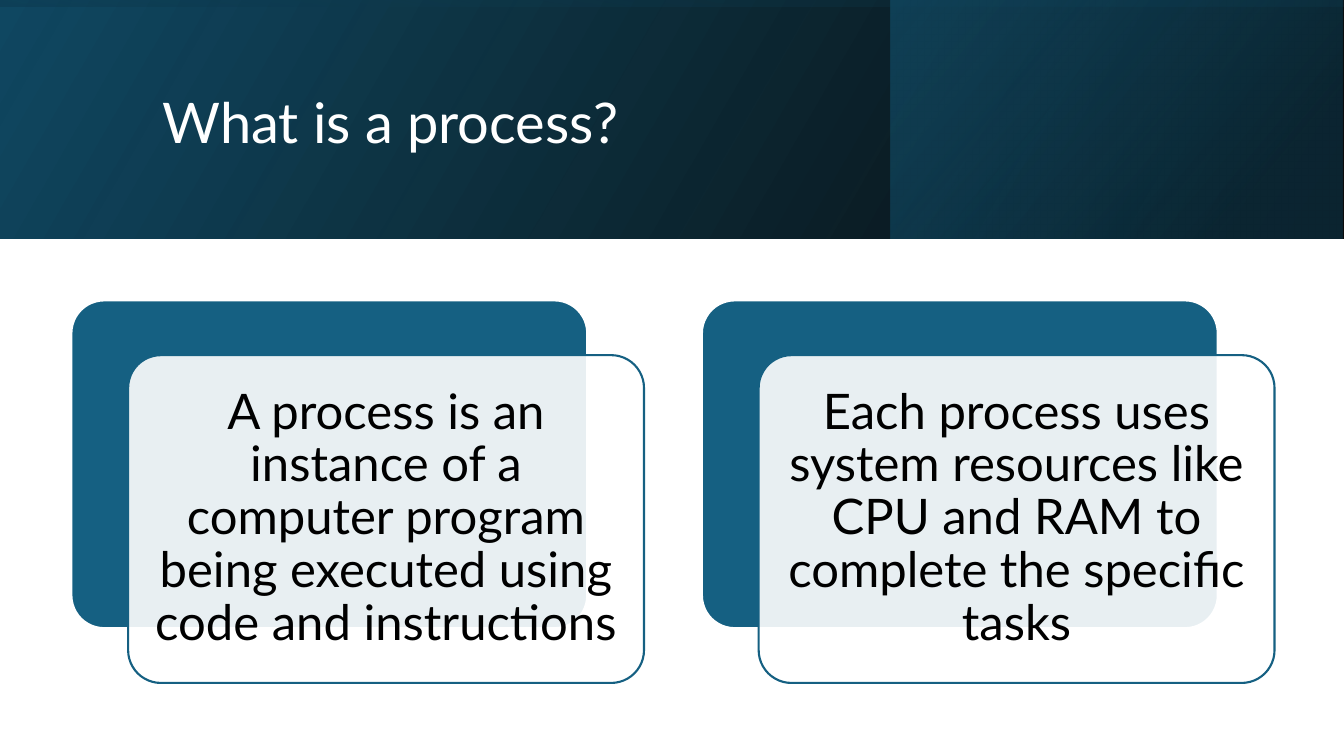
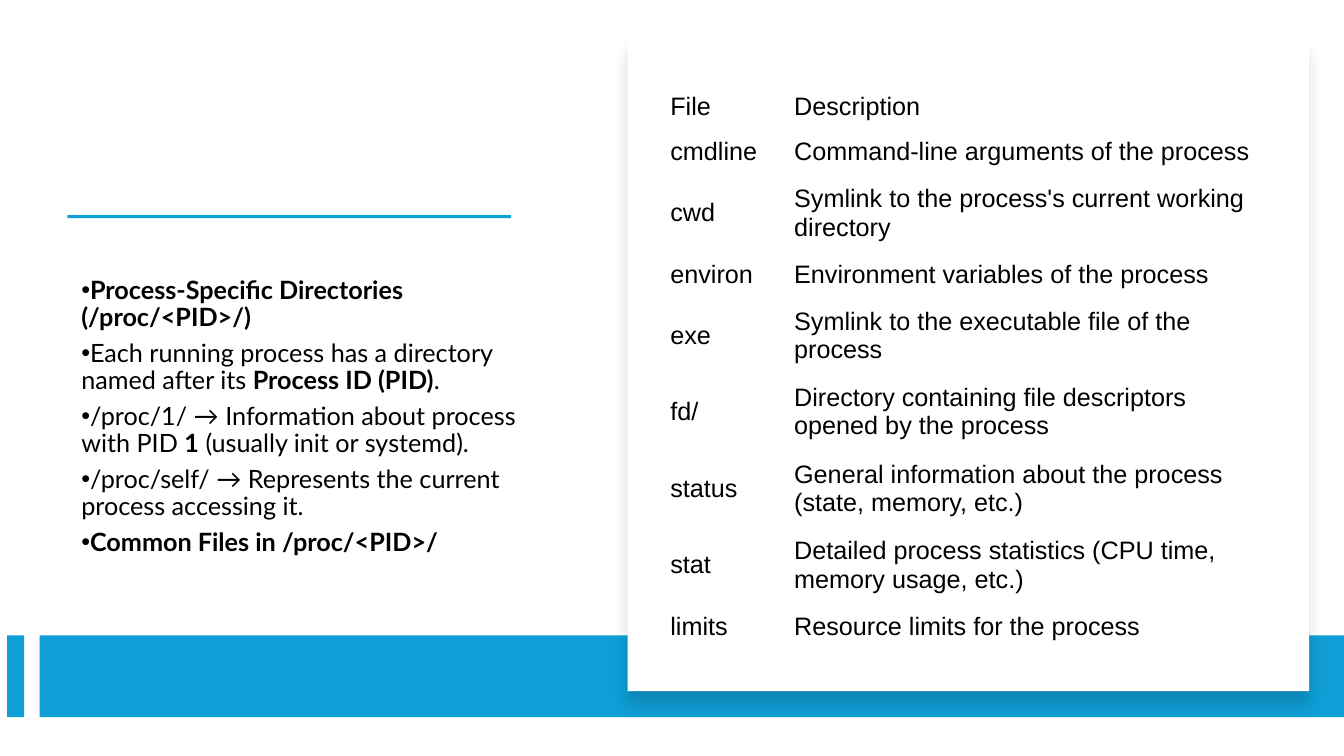
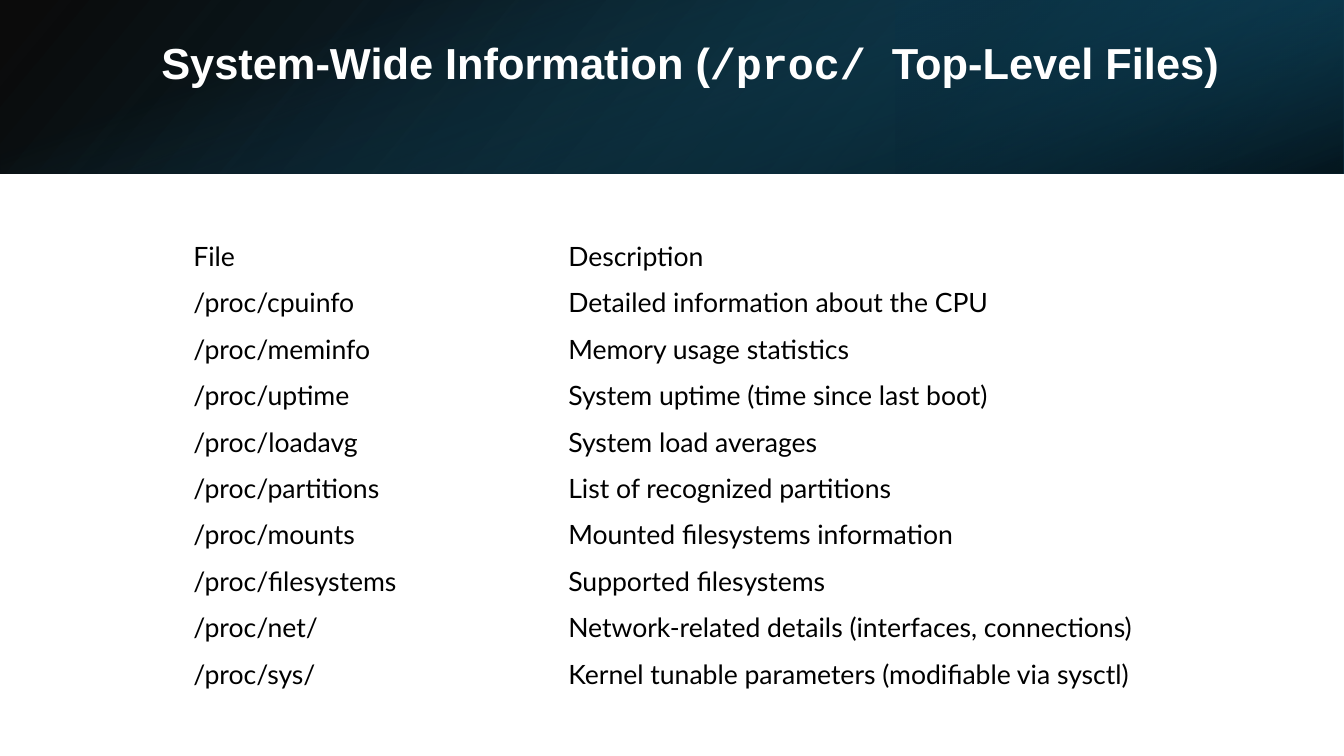
from dataclasses import dataclass
from typing import Optional

from lxml.etree import SubElement
from pptx import Presentation
from pptx.dml.color import RGBColor
from pptx.enum.shapes import MSO_SHAPE as Preset
from pptx.enum.text import MSO_ANCHOR as Anchor, MSO_AUTO_SIZE as AutoSize, PP_ALIGN as Align
from pptx.oxml.ns import qn
from pptx.util import Cm, Pt

BLACK = RGBColor(0x00, 0x00, 0x00)
WHITE = RGBColor(0xFF, 0xFF, 0xFF)
TEAL = RGBColor(0x15, 0x60, 0x82)
DEEP_TEAL = RGBColor(0x10, 0x48, 0x62)
NAVY = RGBColor(0x0B, 0x30, 0x41)
SKY = RGBColor(0x0F, 0x9E, 0xD5)

LATO, ARIAL, COURIER = "Lato", "Arial", "Courier New"
SLIDE_W, SLIDE_H = 33.87, 19.05
TITLE_ONLY, BLANK = 5, 6
LINE_SPACING = 0.9


@dataclass(frozen=True)
class Box:
    """A rectangle in centimetres."""
    left: float
    top: float
    width: float
    height: float

    def lengths(self) -> tuple:
        return Cm(self.left), Cm(self.top), Cm(self.width), Cm(self.height)


@dataclass(frozen=True)
class Stop:
    position: int
    color: RGBColor
    opacity: int


@dataclass(frozen=True)
class Layer:
    """One gradient of a header band; angle runs clockwise in degrees."""
    left: float
    width: float
    start: Stop
    end: Stop
    angle: int
    rotation: int = 0
    flipped: bool = True


@dataclass(frozen=True)
class FileTable:
    box: Box
    columns: tuple
    row_heights: tuple
    font: str
    size: int
    rows: tuple


PROCESS_BAND = (
    Layer(0, SLIDE_W, Stop(0, BLACK, 96), Stop(100, DEEP_TEAL, 100), 330),
    Layer(22.45, 11.38, Stop(19, NAVY, 68), Stop(100, TEAL, 48), 320),
    Layer(0, SLIDE_W, Stop(23, DEEP_TEAL, 16), Stop(99, BLACK, 45), 350, 270),
)
SYSTEM_BAND = (
    Layer(0, SLIDE_W, Stop(0, BLACK, 96), Stop(100, DEEP_TEAL, 100), 140),
    Layer(22.58, 11.29, Stop(19, NAVY, 68), Stop(100, TEAL, 79), 320, 180),
    Layer(0, SLIDE_W, Stop(23, TEAL, 0), Stop(99, BLACK, 74), 340, 90, False),
)

PROCESS_FACTS = (
    "A process is an instance of a computer program being executed using code and instructions",
    "Each process uses system resources like CPU and RAM to complete the specific tasks",
)

# Each bullet is a row of (text, bold) runs.
DIRECTORY_NOTES = (
    (("Process-Specific Directories (/proc/<PID>/)", True),),
    (("Each running process has a directory named after its ", False),
     ("Process ID (PID)", True), (".", False)),
    (("/proc/1/ → Information about process with PID ", False),
     ("1", True), (" (usually init or systemd).", False)),
    (("/proc/self/ → Represents the current process accessing it.", False),),
    (("Common Files in /proc/<PID>/", True),),
)

ONE_LINE, TWO_LINES = 1.15, 1.93
PROCESS_FILES = FileTable(
    Box(16.64, 2.11, 15.62, 14.2), (3.12, 12.5),
    (ONE_LINE, ONE_LINE, TWO_LINES, ONE_LINE, *[TWO_LINES] * 4, ONE_LINE), ARIAL, 18,
    (
        ("File", "Description"),
        ("cmdline", "Command-line arguments of the process"),
        ("cwd", "Symlink to the process's current working directory"),
        ("environ", "Environment variables of the process"),
        ("exe", "Symlink to the executable file of the process"),
        ("fd/", "Directory containing file descriptors opened by the process"),
        ("status", "General information about the process (state, memory, etc.)"),
        ("stat", "Detailed process statistics (CPU time, memory usage, etc.)"),
        ("limits", "Resource limits for the process"),
    ),
)
SYSTEM_FILES = FileTable(
    Box(4.62, 5.87, 24.66, 11.66), (9.45, 15.21), (1.17,) * 10, LATO, 19,
    (
        ("File", "Description"),
        ("/proc/cpuinfo", "Detailed information about the CPU"),
        ("/proc/meminfo", "Memory usage statistics"),
        ("/proc/uptime", "System uptime (time since last boot)"),
        ("/proc/loadavg", "System load averages"),
        ("/proc/partitions", "List of recognized partitions"),
        ("/proc/mounts", "Mounted filesystems information"),
        ("/proc/filesystems", "Supported filesystems"),
        ("/proc/net/", "Network-related details (interfaces, connections)"),
        ("/proc/sys/", "Kernel tunable parameters (modifiable via sysctl)"),
    ),
)


def write(paragraph, text: str, *, size: float, font: str = LATO,
          color: RGBColor = BLACK, bold: bool = False) -> None:
    run = paragraph.add_run()
    run.text = text
    run.font.name = font
    run.font.size = Pt(size)
    run.font.bold = bold
    run.font.color.rgb = color


def set_opacity(color_element, percent: int) -> None:
    SubElement(color_element, qn("a:alpha"), val=str(percent * 1000))


def add_panel(slide, box: Box, fill: RGBColor, *, line: Optional[RGBColor] = None,
              corner: Optional[float] = None):
    preset = Preset.RECTANGLE if corner is None else Preset.ROUNDED_RECTANGLE
    panel = slide.shapes.add_shape(preset, *box.lengths())
    if corner is not None:
        panel.adjustments[0] = corner
    panel.shadow.inherit = False
    panel.fill.solid()
    panel.fill.fore_color.rgb = fill
    if line is None:
        panel.line.fill.background()
    else:
        panel.line.color.rgb = line
        panel.line.width = Pt(1.5)
    return panel


def add_layer(slide, layer: Layer, height: float) -> None:
    """Draw a gradient so that it covers its part of the band after rotation."""
    box = Box(layer.left, 0, layer.width, height)
    if layer.rotation % 180:
        box = Box(layer.left + (layer.width - height) / 2, (height - layer.width) / 2,
                  height, layer.width)
    panel = add_panel(slide, box, BLACK)
    panel.rotation = layer.rotation
    panel.fill.gradient()
    panel.fill.gradient_angle = 360 - layer.angle
    stops = (layer.start, layer.end)
    for target, stop in zip(panel.fill.gradient_stops, stops):
        target.position = stop.position / 100
        target.color.rgb = stop.color
    properties = panel._element.spPr
    for color, stop in zip(properties.iter(qn("a:srgbClr")), stops):
        set_opacity(color, stop.opacity)
    if layer.flipped:
        properties.find(qn("a:xfrm")).set("flipH", "1")


def add_band(slide, layers: tuple, height: float) -> None:
    for layer in layers:
        add_layer(slide, layer, height)


def place_title(slide, box: Box, anchor: Anchor):
    """Put the title above the band and return its paragraph."""
    title = slide.shapes.title
    slide.shapes._spTree.append(title._element)
    title.left, title.top, title.width, title.height = box.lengths()
    frame = title.text_frame
    frame.word_wrap = True
    frame.auto_size = AutoSize.NONE
    frame.vertical_anchor = anchor
    paragraph = frame.paragraphs[0]
    paragraph.alignment = Align.LEFT
    paragraph.line_spacing = LINE_SPACING
    return paragraph


def add_fact_card(slide, left: float, fact: str) -> None:
    top, width, height, corner = 7.57, 13.0, 8.26, 0.1
    add_panel(slide, Box(left, top, width, height), TEAL, line=WHITE, corner=corner)
    card = add_panel(slide, Box(left + 1.43, top + 1.38, width, height), WHITE,
                     line=TEAL, corner=corner)
    set_opacity(card._element.spPr.find(qn("a:solidFill"))[0], 90)
    frame = card.text_frame
    frame.word_wrap = True
    frame.vertical_anchor = Anchor.MIDDLE
    frame.margin_left = frame.margin_right = Cm(0.38)
    frame.margin_top = frame.margin_bottom = Cm(0.38)
    paragraph = frame.paragraphs[0]
    paragraph.alignment = Align.CENTER
    paragraph.line_spacing = LINE_SPACING
    write(paragraph, fact, size=35)


def add_notes(slide, box: Box) -> None:
    frame = slide.shapes.add_textbox(*box.lengths()).text_frame
    frame.word_wrap = True
    frame.vertical_anchor = Anchor.MIDDLE
    for index, runs in enumerate(DIRECTORY_NOTES):
        paragraph = frame.add_paragraph() if index else frame.paragraphs[0]
        paragraph.line_spacing = LINE_SPACING
        paragraph.space_after = Pt(6)
        properties = paragraph._p.get_or_add_pPr()
        properties.set("marL", "0")
        properties.set("indent", str(Cm(-0.64)))
        SubElement(properties, qn("a:buFont"), typeface=ARIAL)
        SubElement(properties, qn("a:buChar"), char="•")
        for text, bold in runs:
            write(paragraph, text, size=18, bold=bold)


def add_drop_shadow(panel) -> None:
    effects = panel._element.spPr.find(qn("a:effectLst"))
    shadow = SubElement(effects, qn("a:outerShdw"), blurRad=str(Pt(11)), dist=str(Pt(10)),
                        dir="5400000", algn="t", rotWithShape="0")
    set_opacity(SubElement(shadow, qn("a:srgbClr"), val=str(BLACK)), 15)


def add_file_table(slide, files: FileTable) -> None:
    table = slide.shapes.add_table(len(files.rows), len(files.columns),
                                   *files.box.lengths()).table
    table.first_row = table.horz_banding = False
    for column, width in zip(table.columns, files.columns):
        column.width = Cm(width)
    for row, height, texts in zip(table.rows, files.row_heights, files.rows):
        row.height = Cm(height)
        for cell, text in zip(row.cells, texts):
            cell.fill.background()
            cell.vertical_anchor = Anchor.MIDDLE
            write(cell.text_frame.paragraphs[0], text, font=files.font, size=files.size)


def build_process_slide(deck) -> None:
    slide = deck.slides.add_slide(deck.slide_layouts[TITLE_ONLY])
    add_band(slide, PROCESS_BAND, 6.02)
    title = place_title(slide, Box(3.84, 0.97, 27.0, 4.37), Anchor.MIDDLE)
    write(title, "What is a process?", size=40, color=WHITE)
    for index, fact in enumerate(PROCESS_FACTS):
        add_fact_card(slide, 1.8 + index * 15.89, fact)


def build_directories_slide(deck) -> None:
    slide = deck.slides.add_slide(deck.slide_layouts[BLANK])
    add_panel(slide, Box(1.7, 5.42, 11.18, 0.08), SKY)
    add_notes(slide, Box(1.8, 5.64, 11.89, 9.75))
    for left, width in ((0.18, 0.43), (1.0, 32.87)):
        add_panel(slide, Box(left, 16.01, width, 2.06), SKY)
    add_drop_shadow(add_panel(slide, Box(15.82, 0.99, 17.17, 16.43), WHITE))
    add_file_table(slide, PROCESS_FILES)


def build_system_slide(deck) -> None:
    slide = deck.slides.add_slide(deck.slide_layouts[TITLE_ONLY])
    add_band(slide, SYSTEM_BAND, 4.37)
    title = place_title(slide, Box(3.81, 0.97, 27.89, 2.44), Anchor.TOP)
    slide.shapes.title.text_frame.margin_top = Cm(0.1)
    for text, font in (("System-Wide Information (", ARIAL), ("/proc/ ", COURIER),
                       ("Top-Level Files)", ARIAL)):
        write(title, text, font=font, size=31, color=WHITE, bold=True)
    add_file_table(slide, SYSTEM_FILES)


def main() -> None:
    deck = Presentation()
    deck.slide_width, deck.slide_height = Cm(SLIDE_W), Cm(SLIDE_H)
    build_process_slide(deck)
    build_directories_slide(deck)
    build_system_slide(deck)
    deck.save("out.pptx")


if __name__ == "__main__":
    main()
